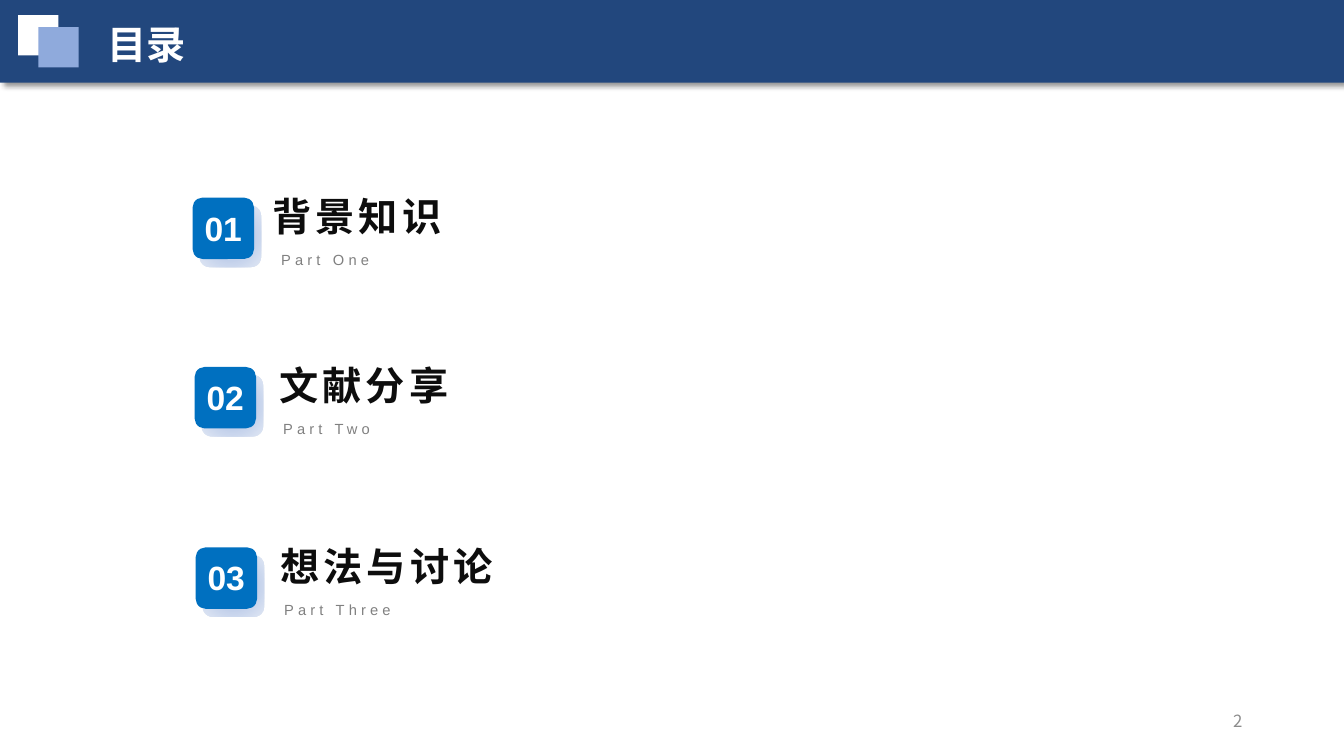
"""Build the table-of-contents slide with three numbered sections."""
import pptx
import pptx.dml.color
import pptx.enum.shapes
import pptx.enum.text
import pptx.oxml
import pptx.oxml.ns
import pptx.util

Inches = pptx.util.Inches
SHAPE = pptx.enum.shapes.MSO_SHAPE
ALIGN = pptx.enum.text.PP_ALIGN
ANCHOR = pptx.enum.text.MSO_ANCHOR
NAMESPACE = pptx.oxml.ns.nsdecls("a")
CHINESE_FONT = "Noto Sans CJK SC"


def add_block(shapes, preset, left, top, width, height, color):
    block = shapes.add_shape(preset, Inches(left), Inches(top), Inches(width), Inches(height))
    block.shadow.inherit = False
    block.fill.solid()
    block.fill.fore_color.rgb = pptx.dml.color.RGBColor.from_string(color)
    block.line.fill.background()
    if preset == SHAPE.ROUNDED_RECTANGLE:
        block.adjustments[0] = 0.164
    return block


def add_text(shapes, left, top, width, height, text, size, color, font="Arial", bold=False, spacing=0):
    box = shapes.add_textbox(Inches(left), Inches(top), Inches(width), Inches(height))
    box.text_frame.word_wrap = True
    box.text_frame.text = text
    span = box.text_frame.paragraphs[0].runs[0]
    span.font.size = pptx.util.Pt(size)
    span.font.bold = bold
    span.font.name = font
    span.font.color.rgb = pptx.dml.color.RGBColor.from_string(color)
    properties = span.font._element
    if spacing:
        properties.set("spc", str(spacing * 100))
    latin = properties.find(pptx.oxml.ns.qn("a:latin"))
    latin.addnext(pptx.oxml.parse_xml(f'<a:ea {NAMESPACE} typeface="{CHINESE_FONT}"/>'))
    return box


deck = pptx.Presentation()
deck.slide_width = Inches(13.33)
deck.slide_height = Inches(7.5)
page = deck.slides.add_slide(deck.slide_layouts[6])

banner = add_block(page.shapes, SHAPE.RECTANGLE, 0, 0, 13.33, 0.82, "22477D")
effects = banner._element.spPr.find(pptx.oxml.ns.qn("a:effectLst"))
effects.append(pptx.oxml.parse_xml(
    f'<a:outerShdw {NAMESPACE} blurRad="50800" dist="38100" dir="2700000" algn="tl" rotWithShape="0">'
    '<a:srgbClr val="000000"><a:alpha val="40000"/></a:srgbClr></a:outerShdw>'))
add_block(page.shapes, SHAPE.RECTANGLE, 0.18, 0.15, 0.4, 0.4, "FFFFFF")
add_block(page.shapes, SHAPE.RECTANGLE, 0.38, 0.27, 0.4, 0.4, "8FAADC")
add_text(page.shapes, 0.97, 0.15, 4.39, 0.57, "目录", 28, "FFFFFF", CHINESE_FONT, bold=True)

page_number = add_text(page.shapes, 9.42, 6.95, 3, 0.4, "2", 12, "8C8C8C", CHINESE_FONT)
page_number.text_frame.vertical_anchor = ANCHOR.MIDDLE
page_number.text_frame.paragraphs[0].alignment = ALIGN.RIGHT

sections = [
    ("01", "背景知识", "Part One", 1.91, 1.96, 2.6, 3.47),
    ("02", "文献分享", "Part Two", 1.93, 3.64, 2.67, 2.54),
    ("03", "想法与讨论", "Part Three", 1.94, 5.43, 2.68, 2.86),
]
gradient_stops = "".join(
    f'<a:gs pos="{position}000"><a:srgbClr val="{color}"/></a:gs>'
    for position, color in [(0, "94B1E1"), (50, "BFCEEA"), (100, "E0E7F4")])

for number, title, subtitle, left, top, title_left, title_width in sections:
    shapes = page.shapes.add_group_shape().shapes
    add_text(shapes, left + 0.78, top + 0.48, 3.08, 0.28, subtitle, 10.5, "808080", spacing=3)

    backing = add_block(shapes, SHAPE.ROUNDED_RECTANGLE, left + 0.07, top + 0.08, 0.61, 0.61, "BFCEEA")
    solid_fill = backing._element.spPr.find(pptx.oxml.ns.qn("a:solidFill"))
    solid_fill.addnext(pptx.oxml.parse_xml(
        f'<a:gradFill {NAMESPACE} rotWithShape="1"><a:gsLst>{gradient_stops}</a:gsLst>'
        '<a:path path="circle"><a:fillToRect l="50000" t="50000" r="50000" b="50000"/></a:path>'
        '</a:gradFill>'))
    backing._element.spPr.remove(solid_fill)

    add_block(shapes, SHAPE.ROUNDED_RECTANGLE, left, top, 0.61, 0.61, "0070C0")
    label = add_text(shapes, left + 0.02, top + 0.05, 0.58, 0.5, number, 24, "FFFFFF", bold=True)
    label.text_frame.word_wrap = False
    add_text(shapes, title_left, top - 0.1, title_width, 0.57, title, 28, "0D0D0D", bold=True, spacing=3)

deck.save("out.pptx")
